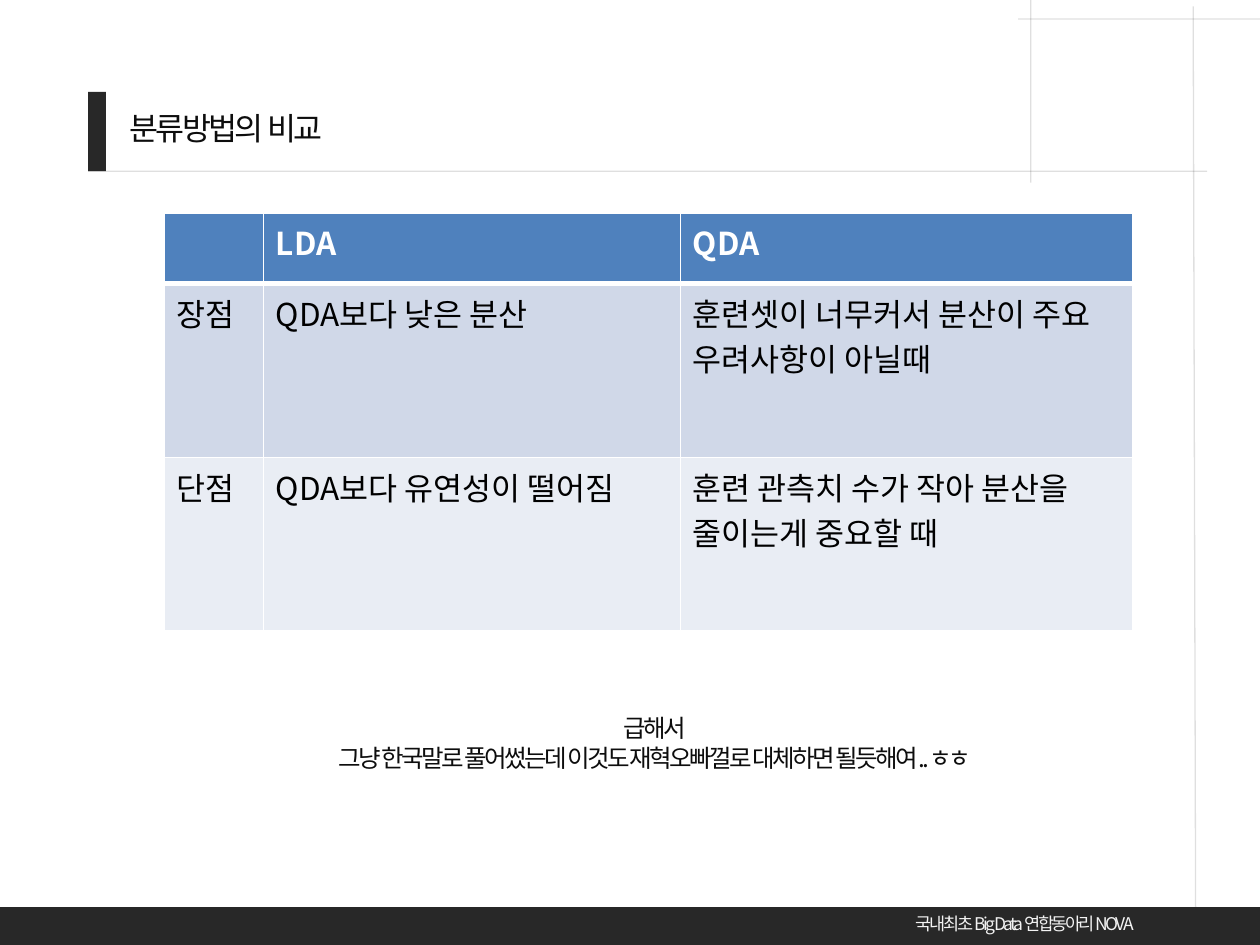
"""Builds a slide that compares two classification methods, LDA and QDA."""
import itertools
import lxml.etree
import pptx
import pptx.dml.color
import pptx.enum.shapes
import pptx.enum.text
import pptx.oxml.ns
import pptx.util

THEME = {
    "dark": "282828", "ink": "0D0D0D", "black": "000000", "white": "FFFFFF",
    "footer_text": "F2F2F2", "header": "4F81BD", "bands": ("D0D8E8", "E9EDF4"),
    "font": "Noto Sans CJK KR", "title_font": "Arial",
    "title": 18, "cell": 18, "note": 14, "footer": 10,
    "rule": 0.75, "rule_alpha": 12, "tracking": -150,
}
qn = pptx.oxml.ns.qn
color = pptx.dml.color.RGBColor.from_string

presentation = pptx.Presentation()
presentation.slide_width = pptx.util.Inches(10)
presentation.slide_height = pptx.util.Inches(7.5)
column = presentation.slide_width // 100
row = presentation.slide_height // 75
slide = presentation.slides.add_slide(presentation.slide_layouts[6])


def grid(left, top, width, height):
    return [int(n * unit) for n, unit in zip((left, top, width, height), (column, row) * 2)]


def style(paragraph, size, ink, font=THEME["font"], bold=False, tracking=None):
    paragraph.font.size = pptx.util.Pt(size)
    paragraph.font.color.rgb = color(ink)
    paragraph.font.name = font
    paragraph.font.bold = bold
    for run in paragraph.runs:
        properties = run._r.get_or_add_rPr()
        lxml.etree.SubElement(properties, qn("a:ea")).set("typeface", font)
        if tracking:
            properties.set("spc", str(tracking))


rules = [
    (80.8, 1.5, 100, 1.5),
    (81.8, 0, 81.8, 14.5),
    (7, 13.6, 95.8, 13.6),
    (94.7, 0.5, 94.9, 75),
]
for ends in rules:
    rule = slide.shapes.add_connector(pptx.enum.shapes.MSO_CONNECTOR.STRAIGHT, *grid(*ends))
    rule.line.width = pptx.util.Pt(THEME["rule"])
    rule.line.color.rgb = color(THEME["ink"])
    tint = rule._element.spPr.find(".//" + qn("a:srgbClr"))
    lxml.etree.SubElement(tint, qn("a:alpha")).set("val", str(THEME["rule_alpha"] * 1000))
    lxml.etree.SubElement(rule._element.spPr, qn("a:effectLst"))

for area in [(7, 7.3, 1.4, 6.3), (0, 72, 100, 3)]:
    bar = slide.shapes.add_shape(pptx.enum.shapes.MSO_SHAPE.RECTANGLE, *grid(*area))
    bar.shadow.inherit = False
    bar.fill.solid()
    bar.fill.fore_color.rgb = color(THEME["dark"])
    bar.line.fill.background()

align = pptx.enum.text.PP_ALIGN
texts = [
    ((71.7, 72, 24.5, 2.7), ["국내 최초 Big Data 연합동아리 NOVA"], "footer",
     THEME["footer_text"], THEME["font"], align.LEFT, False),
    ((9.3, 8.2, 18.9, 4), ["분류방법의 비교"], "title",
     THEME["ink"], THEME["title_font"], align.LEFT, False),
    ((9.1, 56.1, 85.8, 6), ["급해서", "그냥 한국말로 풀어썼는데 이것도 재혁오빠껄로 대체하면 될듯해여..ㅎㅎ"], "note",
     THEME["ink"], THEME["font"], align.CENTER, True),
]
for area, lines, size, ink, font, alignment, wrap in texts:
    frame = slide.shapes.add_textbox(*grid(*area)).text_frame
    frame.word_wrap = wrap
    frame.text = "\n".join(lines)
    for paragraph in frame.paragraphs:
        paragraph.alignment = alignment
        style(paragraph, THEME[size], ink, font, tracking=THEME["tracking"])
        if len(lines) > 1:
            paragraph.line_spacing = pptx.util.Pt(17)

comparison = [
    ["", "LDA", "QDA"],
    ["장점", "QDA보다 낮은 분산", "훈련셋이 너무커서 분산이 주요 우려사항이 아닐때"],
    ["단점", "QDA보다 유연성이 떨어짐", "훈련 관측치 수가 작아 분산을 줄이는게 중요할 때"],
]
table = slide.shapes.add_table(3, 3, *grid(13, 16.9, 76.8, 33.2)).table
for table_column, share in zip(table.columns, (7.9, 33.1, 35.9)):
    table_column.width = int(share * column)
for table_row, share in zip(table.rows, (5.6, 13.8, 13.8)):
    table_row.height = int(share * row)

for r, c in itertools.product(range(3), range(3)):
    cell = table.cell(r, c)
    cell.text = comparison[r][c]
    heading = r == 0
    style(cell.text_frame.paragraphs[0], THEME["cell"],
          THEME["white"] if heading else THEME["black"], bold=heading)
    properties = cell._tc.get_or_add_tcPr()
    for side in ("lnL", "lnR", "lnT", "lnB"):
        thick = (r, side) in [(0, "lnB"), (1, "lnT")]
        border = lxml.etree.SubElement(properties, qn("a:" + side))
        border.set("w", str(pptx.util.Pt(3 if thick else 1)))
        paint = lxml.etree.SubElement(border, qn("a:solidFill"))
        lxml.etree.SubElement(paint, qn("a:srgbClr")).set("val", THEME["white"])
    cell.fill.solid()
    cell.fill.fore_color.rgb = color(THEME["header"] if heading else THEME["bands"][r - 1])
    properties.append(properties.find(qn("a:solidFill")))

presentation.save("out.pptx")
